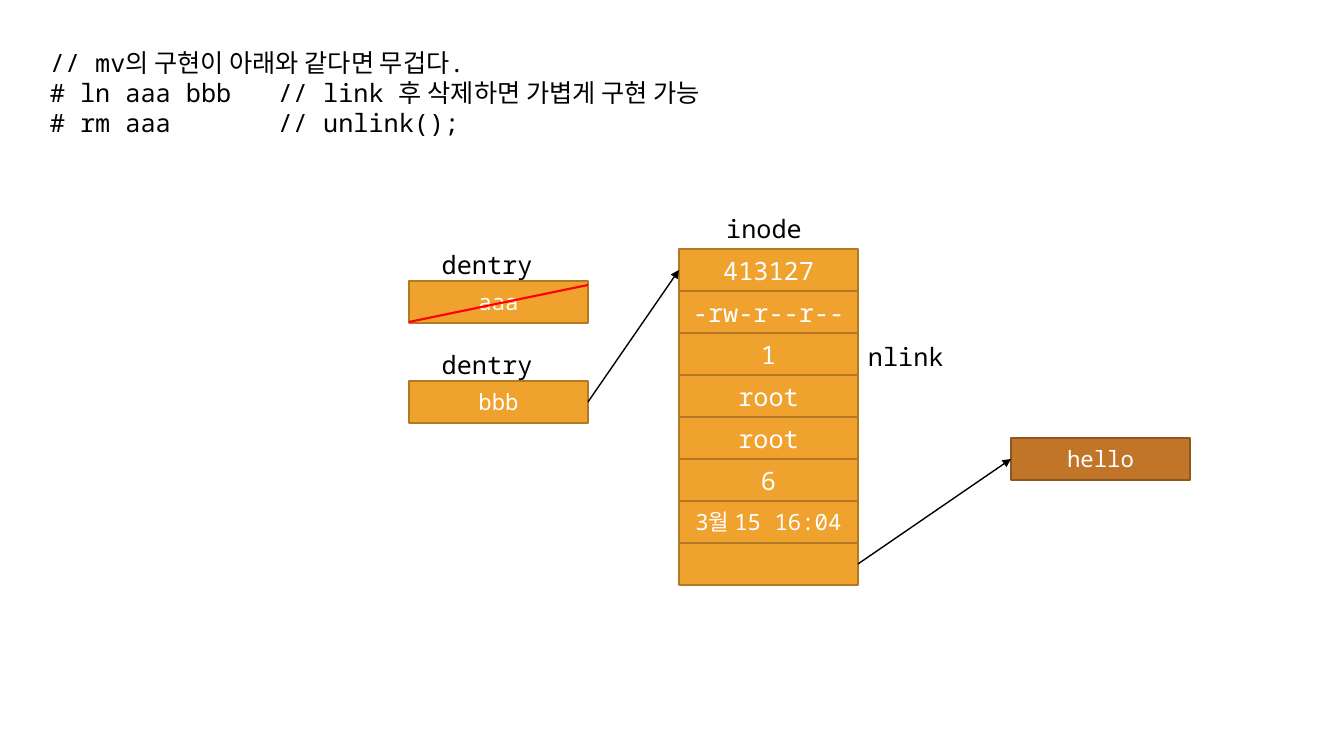
import pptx
import pptx.util
import pptx.dml.color
import pptx.enum.shapes
import pptx.enum.text
import pptx.oxml
import pptx.oxml.ns

PX = 914400 / 100.8
FONT = "Noto Sans Mono"
BLACK, WHITE, RED = "000000", "FFFFFF", "FF0000"
AMBER, AMBER_EDGE = "F0A22E", "B27822"
BROWN, BROWN_EDGE = "C17529", "8F571E"
BOX_W, BOX_H = 179, 42
LEFT, RIGHT = 1, 3  # connection sites of a rectangle
ALIGN = pptx.enum.text.PP_ALIGN


def px(n):
    return pptx.util.Emu(round(n * PX))


def color(value):
    return pptx.dml.color.RGBColor.from_string(value)


def add_run(p, text, size, ink):
    r = p.add_run()
    r.text = text
    r.font.name = FONT
    r.font.size = pptx.util.Pt(size)
    r.font.color.rgb = color(ink)


def add_tab_stop(p, x):
    tabs = pptx.oxml.parse_xml(
        f'<a:tabLst {pptx.oxml.ns.nsdecls("a")}><a:tab pos="{px(x)}" algn="l"/></a:tabLst>')
    p._p.get_or_add_pPr().append(tabs)


def add_label(s, x, y, w, h, lines, align=ALIGN.LEFT, tab=None):
    tf = s.shapes.add_textbox(px(x), px(y), px(w), px(h)).text_frame
    tf.word_wrap = True
    tf.auto_size = pptx.enum.text.MSO_AUTO_SIZE.SHAPE_TO_FIT_TEXT
    for i, line in enumerate(lines):
        p = tf.add_paragraph() if i else tf.paragraphs[0]
        p.alignment = align
        if tab:
            add_tab_stop(p, tab)
        add_run(p, line, 18, BLACK)


def add_box(s, x, y, text, size=16, fill=AMBER, edge=AMBER_EDGE):
    sp = s.shapes.add_shape(pptx.enum.shapes.MSO_SHAPE.RECTANGLE,
                            px(x), px(y), px(BOX_W), px(BOX_H))
    sp.shadow.inherit = False
    sp.fill.solid()
    sp.fill.fore_color.rgb = color(fill)
    sp.line.color.rgb = color(edge)
    sp.line.width = pptx.util.Pt(1)
    tf = sp.text_frame
    tf.word_wrap = True
    tf.vertical_anchor = pptx.enum.text.MSO_ANCHOR.MIDDLE
    if text:
        p = tf.paragraphs[0]
        p.alignment = ALIGN.CENTER
        add_run(p, text, size, WHITE)
    return sp


def add_line(s, x1, y1, x2, y2, ink, width):
    line = s.shapes.add_connector(pptx.enum.shapes.MSO_CONNECTOR.STRAIGHT,
                                  px(x1), px(y1), px(x2), px(y2))
    line.line.color.rgb = color(ink)
    line.line.width = pptx.util.Pt(width)
    line._element.spPr.append(pptx.oxml.parse_xml(
        f'<a:effectLst {pptx.oxml.ns.nsdecls("a")}/>'))
    return line


def add_arrow(s, source, target):
    arrow = add_line(s, 0, 0, 0, 0, BLACK, 1)
    arrow.begin_connect(source, RIGHT)
    arrow.end_connect(target, LEFT)
    arrow.line._get_or_add_ln().append(pptx.oxml.parse_xml(
        f'<a:tailEnd {pptx.oxml.ns.nsdecls("a")} type="triangle"/>'))


def add_dentry(s, y, name):
    add_label(s, 409, y - 37, 156, 40, ["dentry"], ALIGN.CENTER)
    return add_box(s, 409, y, name)


def add_inode(s, x, y, fields):
    add_label(s, x + 7, y - 41, 156, 40, ["inode"], ALIGN.CENTER)
    height = 337
    return [add_box(s, x, y + height * i // len(fields), text, size)
            for i, (text, size) in enumerate(fields)]


def main():
    prs = pptx.Presentation()
    prs.slide_width, prs.slide_height = px(1344), px(756)
    s = prs.slides.add_slide(prs.slide_layouts[6])

    # Commands, with the remarks lined up on a tab stop
    add_label(s, 40, 42, 1200, 102, [
        "// mv의 구현이 아래와 같다면 무겁다.",
        "# ln aaa bbb\t// link 후 삭제하면 가볍게 구현 가능",
        "# rm aaa\t// unlink();",
    ], tab=228)

    # Inode table and file data
    fields = add_inode(s, 679, 249, [
        ("413127", 18), ("-rw-r--r--", 18), ("1", 18), ("root", 18),
        ("root", 18), ("6", 18), ("3월 15 16:04", 16), ("", 18)])
    add_label(s, 858, 336, 123, 40, ["nlink"])
    data = add_box(s, 1011, 438, "hello", fill=BROWN, edge=BROWN_EDGE)

    # Directory entries, the first one struck out
    add_dentry(s, 281, "aaa")
    add_line(s, 409, 322, 588, 285, RED, 1.5)
    bbb = add_dentry(s, 381, "bbb")

    # References
    add_arrow(s, bbb, fields[0])
    add_arrow(s, fields[-1], data)

    prs.save("out.pptx")


main()
